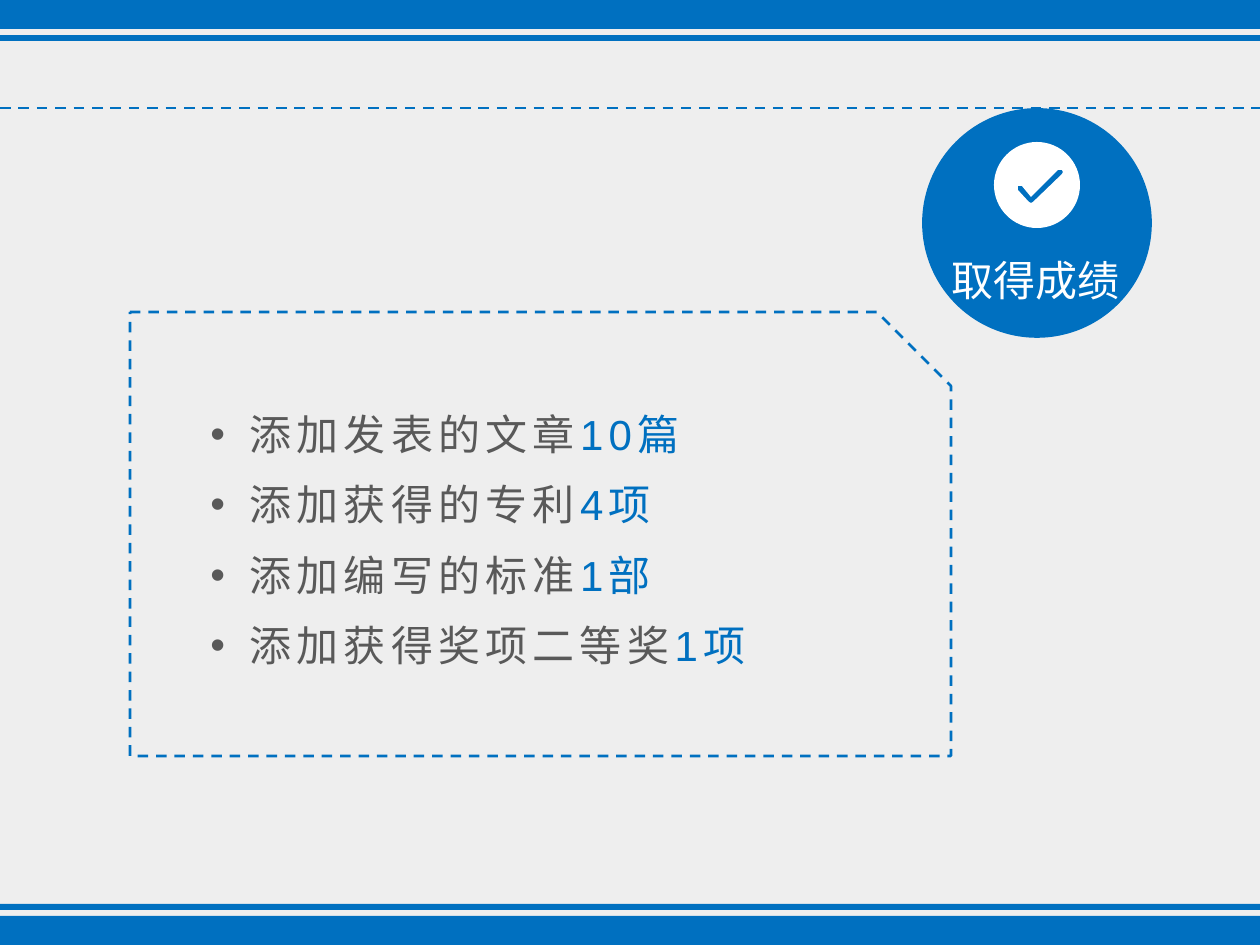
from lxml.etree import SubElement
from pptx import Presentation
from pptx.dml.color import RGBColor
from pptx.enum.dml import MSO_LINE
from pptx.enum.shapes import MSO_CONNECTOR, MSO_SHAPE
from pptx.enum.text import MSO_AUTO_SIZE
from pptx.oxml.ns import qn
from pptx.util import Emu, Pt

EMU_PER_PX = 914400 / 126
WIDTH, HEIGHT = 1260, 945
COLORS = {"background": "EEEEEE", "blue": "0070C0", "gray": "595959", "white": "FFFFFF"}
CHINESE, LATIN = "Noto Sans CJK SC", "Arial"
ARC_HANDLE = 0.55  # Bezier handle of a quarter circle, as a share of its radius

ACHIEVEMENTS = [
    ("添加发表的文章", "10", "篇"),
    ("添加获得的专利", "4", "项"),
    ("添加编写的标准", "1", "部"),
    ("添加获得奖项二等奖", "1", "项"),
]
CHECK_MARK = [
    (1062, 174), (1033, 202), (1031, 203), (1029, 202), (1018, 190), (1018, 186),
    (1022, 186), (1031, 197), (1058, 170), (1062, 170), (1063, 172),
]


def px(value):
    return Emu(round(value * EMU_PER_PX))


def color(name):
    return RGBColor.from_string(COLORS[name])


def format_line(line, weight, dashed=False):
    line.color.rgb = color("blue")
    line.width = Pt(weight)
    if dashed:
        line.dash_style = MSO_LINE.DASH


def format_fill(shape, fill):
    shape.shadow.inherit = False
    shape.line.fill.background()
    if fill:
        shape.fill.solid()
        shape.fill.fore_color.rgb = color(fill)
    else:
        shape.fill.background()


def add_preset(slide, kind, left, top, width, height, fill=None, weight=0, dashed=False):
    shape = slide.shapes.add_shape(kind, px(left), px(top), px(width), px(height))
    format_fill(shape, fill)
    if weight:
        format_line(shape.line, weight, dashed)


def add_bullet(paragraph, indent):
    properties = paragraph._p.get_or_add_pPr()
    properties.set("marL", str(px(indent)))
    properties.set("indent", str(px(-indent)))
    SubElement(properties, qn("a:buFont")).set("typeface", LATIN)
    SubElement(properties, qn("a:buChar")).set("char", "•")


def add_run(paragraph, text, font, fill, spacing):
    run = paragraph.add_run()
    run.text = text
    run.font.size = Pt(24)
    run.font.color.rgb = color(fill)
    run.font.name = font
    properties = run._r.get_or_add_rPr()
    SubElement(properties, qn("a:ea")).set("typeface", CHINESE)
    if spacing:
        properties.set("spc", str(spacing * 100))


def add_text(slide, lines, left, top, width, height, wrap=False, bullet_indent=0,
             line_spacing=None, spacing=0):
    """Each line is a list of (text, font, color) runs."""
    box = slide.shapes.add_textbox(px(left), px(top), px(width), px(height))
    frame = box.text_frame
    frame.word_wrap = wrap
    frame.auto_size = MSO_AUTO_SIZE.SHAPE_TO_FIT_TEXT
    for index, runs in enumerate(lines):
        paragraph = frame.add_paragraph() if index else frame.paragraphs[0]
        if bullet_indent:
            add_bullet(paragraph, bullet_indent)
        if line_spacing:
            paragraph.line_spacing = line_spacing
        for text, font, fill in runs:
            add_run(paragraph, text, font, fill, spacing)


def add_bands(slide):
    for offset, height in ((0, 29), (35, 6)):
        for top in (offset, HEIGHT - offset - height):
            add_preset(slide, MSO_SHAPE.RECTANGLE, 0, top, WIDTH, height, fill="blue")


def add_dashed_rule(slide, y):
    rule = slide.shapes.add_connector(MSO_CONNECTOR.STRAIGHT, 0, px(y), px(WIDTH), px(y))
    format_line(rule.line, 1.5, dashed=True)
    SubElement(rule._element.spPr, qn("a:effectLst"))


def circle_points(center_x, center_y, radius):
    """Start point, then two handles and an end point for each quarter."""
    handle = ARC_HANDLE * radius
    offsets = [(0, -radius)]
    for x, y in ((0, -1), (1, 0), (0, 1), (-1, 0)):
        start, end = (x * radius, y * radius), (-y * radius, x * radius)
        offsets += [
            (start[0] - y * handle, start[1] + x * handle),
            (end[0] + x * handle, end[1] + y * handle),
            end,
        ]
    return [(center_x + x, center_y + y) for x, y in offsets]


def curve_segments(shape, count):
    """Turn each three of the first count line segments into one Bezier curve."""
    segments = list(shape._element.iter(qn("a:lnTo")))[:count]
    for first in range(0, count, 3):
        curve = segments[first].makeelement(qn("a:cubicBezTo"))
        segments[first].addprevious(curve)
        for segment in segments[first:first + 3]:
            curve.append(segment[0])
            segment.getparent().remove(segment)


def add_check_disc(slide, center_x, center_y, radius):
    """White disc with the check mark cut out of it."""
    disc = circle_points(center_x, center_y, radius)
    outer, inner = ([(px(x), px(y)) for x, y in points] for points in (disc, CHECK_MARK))
    builder = slide.shapes.build_freeform(*outer[0], scale=1.0)
    builder.add_line_segments(outer[1:], close=True)
    builder.move_to(*inner[0])
    builder.add_line_segments(inner[1:], close=True)
    shape = builder.convert_to_shape()
    curve_segments(shape, len(outer) - 1)
    format_fill(shape, "white")


def add_badge(slide):
    add_preset(slide, MSO_SHAPE.OVAL, 923, 109, 228, 228, fill="blue", weight=1)
    add_text(slide, [[("取得成绩", CHINESE, "white")]], 939, 248, 195, 63)
    add_check_disc(slide, 1037, 185, 43)


def add_achievements(slide):
    lines = [
        [(label, CHINESE, "gray"), (count, LATIN, "blue"), (unit, CHINESE, "blue")]
        for label, count, unit in ACHIEVEMENTS
    ]
    add_text(slide, lines, 198, 382, 711, 297, wrap=True, bullet_indent=39,
             line_spacing=1.4, spacing=3)
    add_preset(slide, MSO_SHAPE.SNIP_1_RECTANGLE, 130, 312, 821, 444, weight=1.5, dashed=True)


def main():
    presentation = Presentation()
    presentation.slide_width, presentation.slide_height = px(WIDTH), px(HEIGHT)
    slide = presentation.slides.add_slide(presentation.slide_layouts[6])
    slide.background.fill.solid()
    slide.background.fill.fore_color.rgb = color("background")
    add_bands(slide)
    add_badge(slide)
    add_dashed_rule(slide, 108)
    add_achievements(slide)
    presentation.save("out.pptx")


if __name__ == "__main__":
    main()
